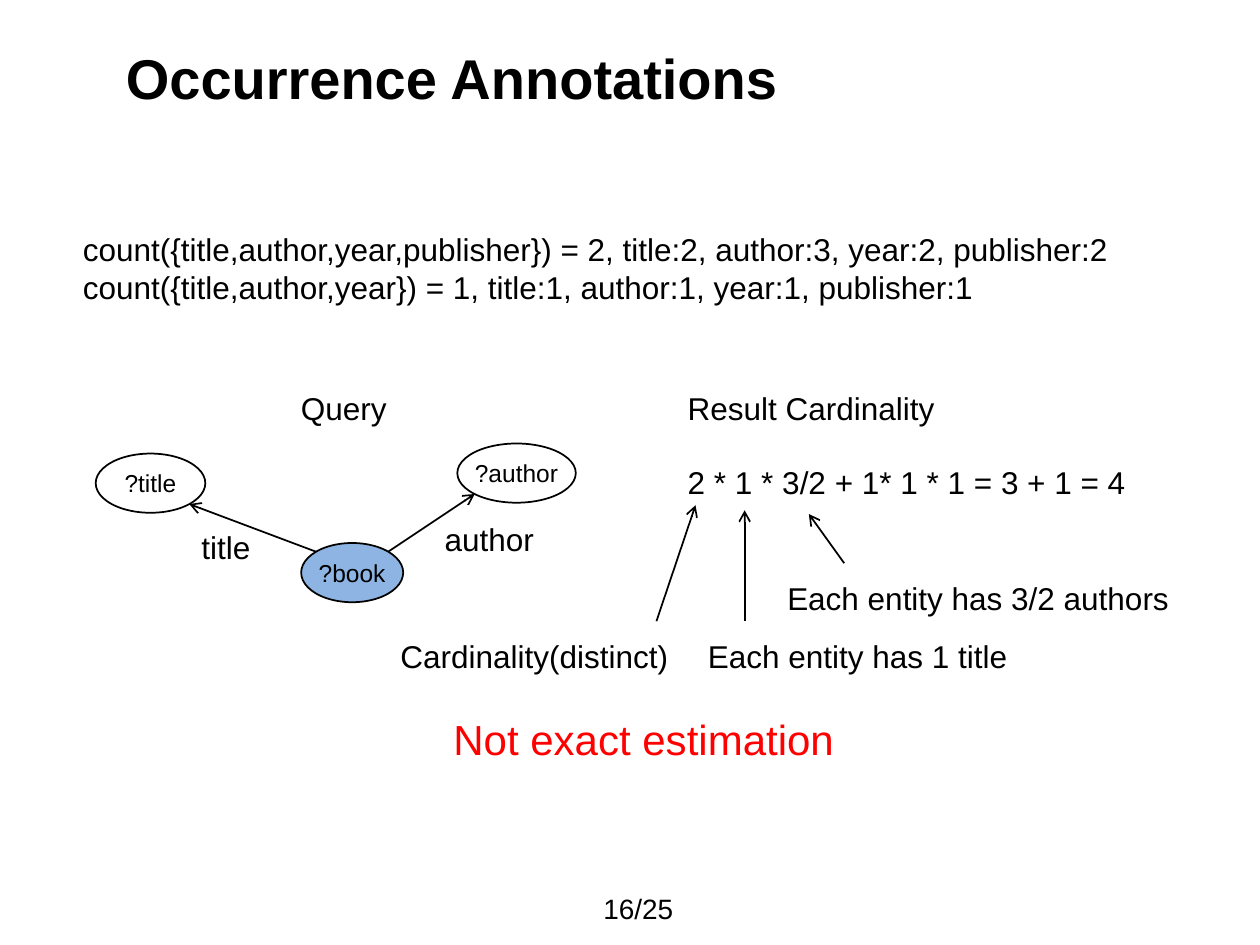
from math import sqrt
from lxml.etree import SubElement
from pptx import Presentation
from pptx.dml.color import RGBColor
from pptx.enum.shapes import MSO_CONNECTOR as MC, MSO_SHAPE as MS
from pptx.enum.text import MSO_ANCHOR as MA, PP_ALIGN as PA
from pptx.oxml.ns import qn
from pptx.util import Inches, Pt

COLORS = {"ink": "000000", "alert": "FF0000", "book": "8EB4E3"}
FONT = "Arial"

prs = Presentation()
prs.slide_width, prs.slide_height = Inches(10), Inches(7.5)
col, row = prs.slide_width / 100, prs.slide_height / 75
s = prs.slides.add_slide(prs.slide_layouts[6])


def write(sp, lines, size, color="ink", bold=False, wrap=False, anchor=MA.TOP, align=PA.LEFT, gap=0):
    tf = sp.text_frame
    tf.word_wrap, tf.vertical_anchor = wrap, anchor
    for i, line in enumerate(lines):
        p = tf.paragraphs[0] if i == 0 else tf.add_paragraph()
        p.alignment = align
        if i and gap:
            p.space_before = Pt(gap)
        r = p.add_run()
        r.text = line
        r.font.name, r.font.size, r.font.bold = FONT, Pt(size), bold
        r.font.color.rgb = RGBColor.from_string(COLORS[color])


def arrow(x1, y1, x2, y2):
    ends = int(x1 * col), int(y1 * row), int(x2 * col), int(y2 * row)
    c = s.shapes.add_connector(MC.STRAIGHT, *ends)
    c.line.width = Pt(1)
    c.line.color.rgb = RGBColor.from_string(COLORS["ink"])
    SubElement(c.line._get_or_add_ln(), qn("a:tailEnd"), type="arrow")
    SubElement(c._element.spPr, qn("a:effectLst"))


counts = [
    "count({title,author,year,publisher}) = 2, title:2, author:3, year:2, publisher:2",
    "count({title,author,year}) = 1, title:1, author:1, year:1, publisher:1",
]
result = ["Result Cardinality", "2 * 1 * 3/2 + 1* 1 * 1 = 3 + 1 = 4"]
texts = [
    (9, 2.9, 82.9, 6.4, ["Occurrence Annotations"], 32, dict(bold=True, wrap=True, anchor=MA.MIDDLE)),
    (5.6, 17.8, 84.6, 7.1, counts, 18, dict(wrap=True)),
    (15, 41.4, 5.9, 4, ["title"], 18, {}),
    (22.9, 30.4, 8.9, 4, ["Query"], 18, {}),
    (34.3, 40.8, 9.2, 4, ["author"], 18, {}),
    (53.6, 30.4, 37.1, 10.1, result, 18, dict(gap=20.7)),
    (30.8, 50.1, 23.5, 4, ["Cardinality(distinct)"], 18, {}),
    (55.2, 50.1, 26, 4, ["Each entity has 1 title"], 18, {}),
    (61.5, 45.5, 32.6, 4, ["Each entity has 3/2 authors"], 18, {}),
    (35, 56.1, 32.5, 5, ["Not exact estimation"], 24, dict(color="alert")),
    (46.9, 70.6, 8.6, 2.9, ["16/25"], 16, dict(wrap=True, anchor=MA.MIDDLE)),
]
for x, y, w, h, lines, size, style in texts:
    sp = s.shapes.add_textbox(int(x * col), int(y * row), int(w * col), int(h * row))
    write(sp, lines, size, **style)

node_h = 4.7
nodes = {"?book": (23.9, 43.1, 8.1), "?title": (7.6, 36, 8.7), "?author": (36.3, 35.2, 9.4)}
for name, (x, y, w) in nodes.items():
    sp = s.shapes.add_shape(MS.OVAL, int(x * col), int(y * row), int(w * col), int(node_h * row))
    sp.shadow.inherit = False
    if name == "?book":
        sp.fill.solid()
        sp.fill.fore_color.rgb = RGBColor.from_string(COLORS["book"])
    else:
        sp.fill.background()
    sp.line.width = Pt(1)
    sp.line.color.rgb = RGBColor.from_string(COLORS["ink"])
    write(sp, [name], 14, anchor=MA.MIDDLE, align=PA.CENTER)

diag = 1 / sqrt(8)
bx, by, bw = nodes["?book"]
for name, side in [("?title", -1), ("?author", 1)]:
    x, y, w = nodes[name]
    arrow(bx + bw * (0.5 + side * diag), by + node_h * (0.5 - diag),
          x + w * (0.5 - side * diag), y + node_h * (0.5 + diag))

for ends in [(52.1, 49.3, 55.2, 40.1), (59.1, 49.3, 59.1, 40.5), (67, 44.7, 64.2, 40.8)]:
    arrow(*ends)

prs.save("out.pptx")
